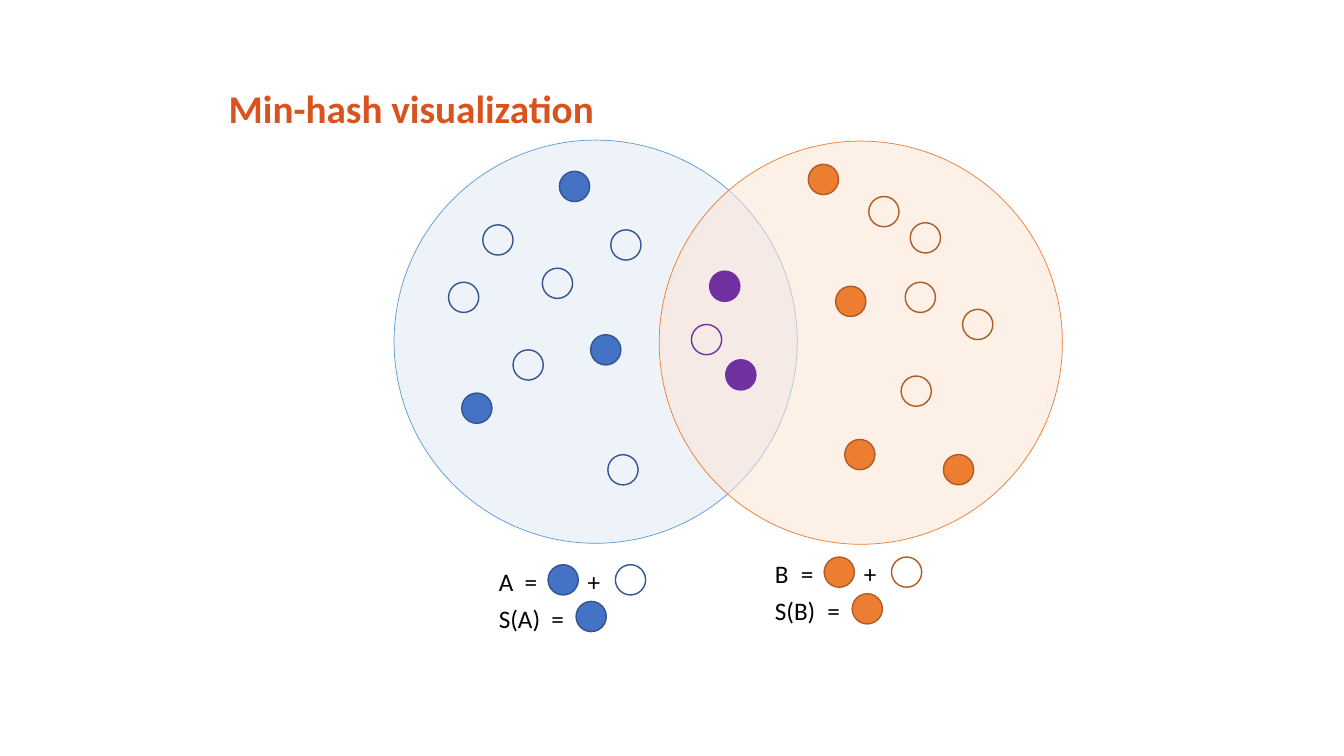
from lxml import etree
from pptx import Presentation
from pptx.dml.color import RGBColor
from pptx.enum.shapes import MSO_SHAPE
from pptx.enum.text import MSO_ANCHOR, MSO_AUTO_SIZE, PP_ALIGN
from pptx.oxml.ns import qn
from pptx.util import Pt

OVAL = MSO_SHAPE.OVAL
BOTTOM, TOP = MSO_ANCHOR.BOTTOM, MSO_ANCHOR.TOP
LEFT = PP_ALIGN.LEFT
NO_FIT = MSO_AUTO_SIZE.NONE

TITLE_RED = RGBColor(0xD9, 0x53, 0x1E)
BLACK = RGBColor(0x00, 0x00, 0x00)
PALE_BLUE = RGBColor(0xDA, 0xE3, 0xF3)
SKY_BLUE = RGBColor(0x5B, 0x9B, 0xD5)
BLUE = RGBColor(0x44, 0x72, 0xC4)
DARK_BLUE = RGBColor(0x32, 0x54, 0x91)
PALE_ORANGE = RGBColor(0xFB, 0xE5, 0xD6)
ORANGE = RGBColor(0xED, 0x7D, 0x31)
DARK_ORANGE = RGBColor(0xAF, 0x5C, 0x24)
PURPLE = RGBColor(0x70, 0x30, 0xA0)

FONT = "Calibri"
DOT = 21.6
CIRCLE = 288
ROW_STEP = 26.2

A_OPEN = [(63.4, 60.5), (85, 149.8), (154.8, 64.1), (152.7, 224.7),
          (105.9, 91.5), (38.9, 101.5)]
A_SAMPLED = [(140.4, 139), (48.3, 180.7), (118.1, 22.3)]
B_OPEN = [(149.7, 39.6), (179.3, 58.3), (216.7, 120.2), (172.8, 167.8),
          (175.7, 100.8)]
B_SAMPLED = [(132.5, 213.1), (126, 103.7), (106.5, 16.6), (203, 223.9)]
SHARED_OPEN = [(23, 131)]
SHARED_SAMPLED = [(36, 92.9), (47.5, 156.2)]


def write_text(frame, text, *, size, color, bold=False, anchor=TOP,
               spacing=None, tabs=()):
    """Write one formatted paragraph, with tab stops given in points."""
    frame.word_wrap = True
    frame.auto_size = NO_FIT
    frame.vertical_anchor = anchor
    para = frame.paragraphs[0]
    para.alignment = LEFT
    if spacing:
        para.line_spacing = Pt(spacing)
    if tabs:
        stops = etree.SubElement(para._p.get_or_add_pPr(), qn("a:tabLst"))
        for tab in tabs:
            etree.SubElement(stops, qn("a:tab"), pos=str(Pt(tab)), algn="l")
    span = para.add_run()
    span.text = text
    span.font.name = FONT
    span.font.size = Pt(size)
    span.font.bold = bold
    span.font.color.rgb = color


def add_circle(page, left, top, size, *, line, width=1, fill=None, opacity=100):
    """Draw a circle, left open when it has no fill colour."""
    circle = page.shapes.add_shape(OVAL, Pt(left), Pt(top), Pt(size), Pt(size))
    circle.shadow.inherit = False
    circle.line.color.rgb = line
    circle.line.width = Pt(width)
    if fill is None:
        circle.fill.background()
        return
    circle.fill.solid()
    circle.fill.fore_color.rgb = fill
    if opacity < 100:
        color = circle.fill._xPr.find(qn("a:solidFill"))[0]
        etree.SubElement(color, qn("a:alpha"), val=str(opacity * 1000))


def add_dots(page, left, top, places, *, line, fill=None):
    """Scatter dots at places measured from the given corner."""
    for x, y in places:
        add_circle(page, left + x, top + y, DOT, line=line, fill=fill)


def add_title(page, left, top, width, height):
    """Place and format the title placeholder."""
    title = page.shapes.title
    title.left, title.top = Pt(left), Pt(top)
    title.width, title.height = Pt(width), Pt(height)
    write_text(title.text_frame, "Min-hash visualization", size=28,
               color=TITLE_RED, bold=True, anchor=BOTTOM, spacing=30)


def add_venn(page, a_left, b_left, top):
    """Draw the two overlapping sets and their elements."""
    b_top = top + 0.7
    add_circle(page, a_left, top, CIRCLE, line=SKY_BLUE, width=0.5,
               fill=PALE_BLUE, opacity=45)
    add_circle(page, b_left, b_top, CIRCLE, line=ORANGE, width=0.5,
               fill=PALE_ORANGE, opacity=57)
    add_dots(page, a_left, top, A_OPEN, line=DARK_BLUE)
    add_dots(page, a_left, top, A_SAMPLED, line=DARK_BLUE, fill=BLUE)
    add_dots(page, b_left, b_top, B_OPEN, line=DARK_ORANGE)
    add_dots(page, b_left, b_top, B_SAMPLED, line=DARK_ORANGE, fill=ORANGE)
    add_dots(page, b_left, b_top, SHARED_OPEN, line=PURPLE)
    add_dots(page, b_left, b_top, SHARED_SAMPLED, line=PURPLE, fill=PURPLE)


def add_legend(page, left, top, name, *, line, fill):
    """Explain a set and its sample in two rows."""
    rows = [(f"{name}\t=\t+", (18.5, 63.5)), (f"S({name})\t=", (37.5,))]
    for index, (text, tabs) in enumerate(rows):
        box = page.shapes.add_textbox(Pt(left), Pt(top + index * ROW_STEP),
                                      Pt(140.4), Pt(29))
        write_text(box.text_frame, text, size=18, color=BLACK, tabs=tabs)
    add_dots(page, left, top, [(42.3, 2.4), (62.3, 2.4 + ROW_STEP)],
             line=line, fill=fill)
    add_dots(page, left, top, [(90.4, 2.4)], line=line)


def main():
    """Build and save the deck."""
    deck = Presentation()
    deck.slide_width, deck.slide_height = Pt(960), Pt(540)
    page = deck.slides.add_slide(deck.slide_layouts[5])
    add_title(page, 156.2, 7.2, 648, 90)
    add_venn(page, 281.5, 470.9, 100.1)
    add_legend(page, 349.2, 401, "A", line=DARK_BLUE, fill=BLUE)
    add_legend(page, 546.4, 395.5, "B", line=DARK_ORANGE, fill=ORANGE)
    deck.save("out.pptx")


if __name__ == "__main__":
    main()
